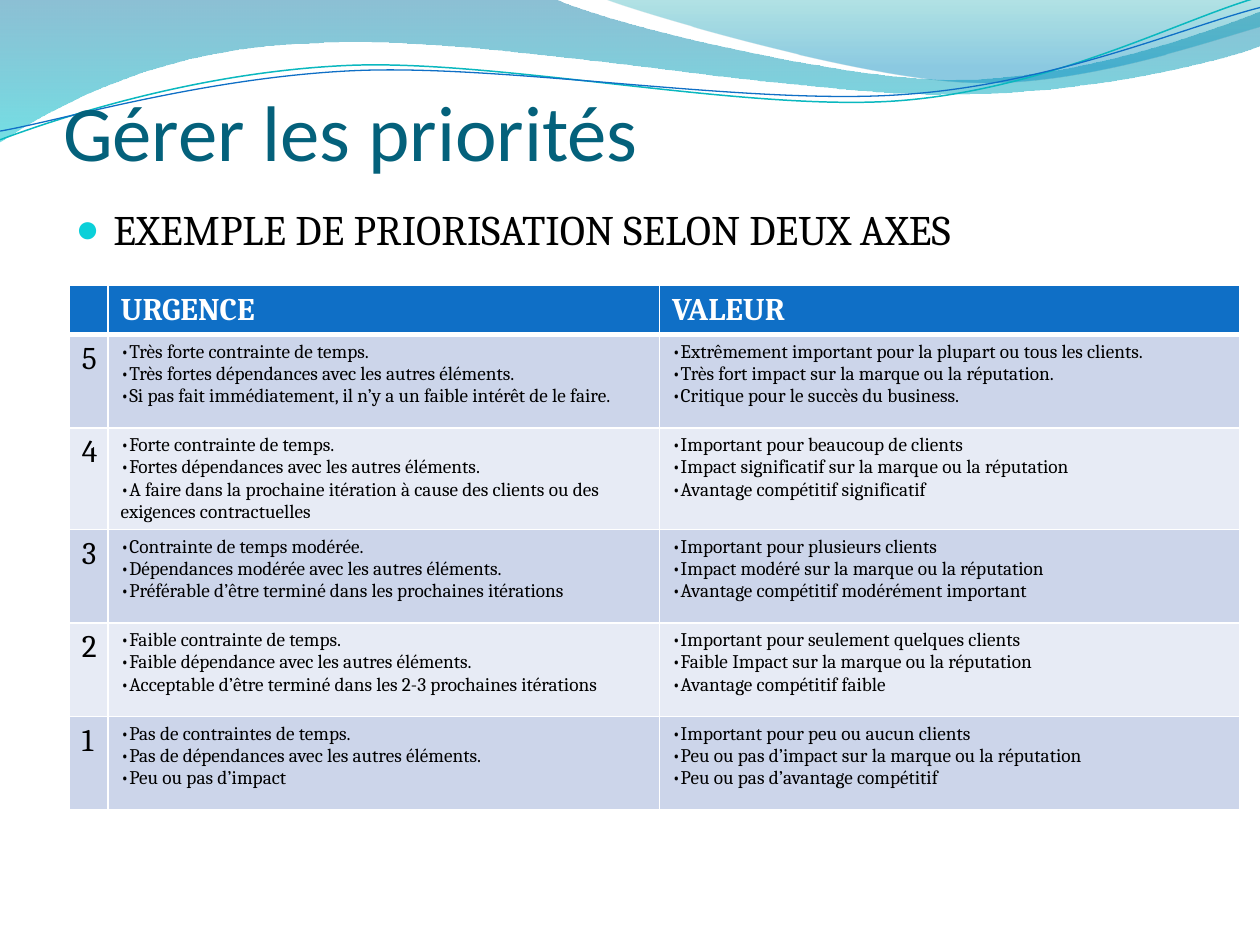
"""Build the slide on managing priorities along urgency and value."""
import pptx
import pptx.dml.color
import pptx.enum.text
import pptx.oxml
import pptx.oxml.ns
import pptx.util

Pt = pptx.util.Pt
qn = pptx.oxml.ns.qn
TITLE_FONT, TEXT_FONT = "Calibri", "Cambria"
COLORS = {
    "title": "04617B", "text": "000000", "white": "FFFFFF", "bullet": "0BD0D9",
    "header": "0F6FC6", "odd": "CCD5EA", "even": "E7EBF5",
    "band_top": "0074A1", "band_end": "00C6CF",
    "panel_top": "00A1A9", "panel_end": "008BBF",
    "teal_line": "0AB8BF", "blue_line": "0F6FC6",
}
BAND = [(0, 0), (316.8, -0.7), (342.7, 12.2, 478.1, 45.4, 545.8, 45.4),
        (614.2, 45.4, 689.8, 18.7, 720, 6.5), (720.7, 25.9),
        (707.8, 31.7, 626.4, 54.7, 537.1, 54), (447.8, 54, 275, 20.2, 185, 24.5),
        (92.9, 25.9, 33.1, 59.8, -0.7, 81.4)]
PANEL = [(344.9, -0.7), (366.5, 7.9, 491, 44.6, 553.7, 46.8),
         (616.3, 49.7, 691.9, 23, 720, 15.1), (720, 0)]
TEAL_WAVE = [(0, 79.9), (34.6, 67, 113.8, 41, 199.4, 37.4),
             (284.4, 33.8, 427, 64.1, 513.4, 57.6), (599.8, 51.1, 675.4, 10.8, 718.6, -1.4)]
BLUE_WAVE = [(0, 74.9), (33.8, 69.1, 118.1, 43.9, 203.8, 40.3),
             (290.2, 36.7, 429.8, 60.5, 516.2, 54), (601.9, 48.2, 677.5, 15.1, 720, 4.3)]
HEADINGS = ["", "URGENCE", "VALEUR"]
LEVELS = [
    ("5",
     ["Très forte contrainte de temps.",
      "Très fortes dépendances avec les autres éléments.",
      "Si pas fait immédiatement, il n’y a un faible intérêt de le faire."],
     ["Extrêmement important pour la plupart ou tous les clients.",
      "Très fort impact sur la marque ou la réputation.",
      "Critique pour le succès du business."]),
    ("4",
     ["Forte contrainte de temps.",
      "Fortes dépendances avec les autres éléments.",
      "A faire dans la prochaine itération à cause des clients ou des exigences contractuelles"],
     ["Important pour beaucoup de clients",
      "Impact significatif sur la marque ou la réputation",
      "Avantage compétitif significatif"]),
    ("3",
     ["Contrainte de temps modérée.",
      "Dépendances modérée avec les autres éléments.",
      "Préférable d’être terminé dans les prochaines itérations"],
     ["Important pour plusieurs clients",
      "Impact modéré sur la marque ou la réputation",
      "Avantage compétitif modérément important"]),
    ("2",
     ["Faible contrainte de temps.",
      "Faible dépendance avec les autres éléments.",
      "Acceptable d’être terminé dans les 2-3 prochaines itérations"],
     ["Important pour seulement quelques clients",
      "Faible Impact sur la marque ou la réputation",
      "Avantage compétitif faible"]),
    ("1",
     ["Pas de contraintes de temps.",
      "Pas de dépendances avec les autres éléments.",
      "Peu ou pas d’impact"],
     ["Important pour peu ou aucun clients",
      "Peu ou pas d’impact sur la marque ou la réputation",
      "Peu ou pas d’avantage compétitif"]),
]


def color(name):
    return pptx.dml.color.RGBColor.from_string(COLORS[name])


def xml(text):
    return pptx.oxml.parse_xml(text.replace(" ", f" {pptx.oxml.ns.nsdecls('a')} ", 1))


def style(paragraph, font, size, color_name, bold=False):
    paragraph.font.name = font
    paragraph.font.size = Pt(size)
    paragraph.font.bold = bold
    paragraph.font.color.rgb = color(color_name)


def place(box, left, top, width, height):
    box.left, box.top, box.width, box.height = map(Pt, (left, top, width, height))


def add_outline(page, segments, close):
    corners = [tuple(map(Pt, segment[-2:])) for segment in segments]
    builder = page.shapes.build_freeform(*corners[0])
    builder.add_line_segments(corners[1:], close=close)
    shape = builder.convert_to_shape()
    shape.shadow.inherit = False
    edges = list(shape.element.spPr.iter(qn("a:lnTo")))
    for edge, segment in zip(edges, segments[1:]):
        if len(segment) == 6:
            edge.tag = qn("a:cubicBezTo")
            for index in (0, 1):
                x, y = map(Pt, segment[2 * index:2 * index + 2])
                edge.insert(index, xml(f'<a:pt x="{x - shape.left}" y="{y - shape.top}"/>'))
    return shape


def add_gradient_wave(page, segments, stops):
    shape = add_outline(page, segments, True)
    shape.line.fill.background()
    shape.fill.gradient()
    shape.fill.gradient_angle = 270
    for stop, (position, color_name, _) in zip(shape.fill.gradient_stops, stops):
        stop.position = position
        stop.color.rgb = color(color_name)
    tints = shape.element.spPr.iter(qn("a:srgbClr"))
    for tint, (_, _, opacity) in zip(tints, stops):
        tint.append(xml(f'<a:alpha val="{opacity * 1000}"/>'))


def add_line_wave(page, segments, color_name, width):
    shape = add_outline(page, segments, False)
    shape.fill.background()
    shape.line.color.rgb = color(color_name)
    shape.line.width = Pt(width)


def fill_title(box, text):
    place(box, 36, 55.4, 648, 46.1)
    frame = box.text_frame
    frame.text = text
    frame.auto_size = pptx.enum.text.MSO_AUTO_SIZE.NONE
    frame.vertical_anchor = pptx.enum.text.MSO_ANCHOR.BOTTOM
    frame.margin_left = frame.margin_right = frame.margin_bottom = 0
    frame.margin_top = Pt(3.6)
    frame.paragraphs[0].alignment = pptx.enum.text.PP_ALIGN.LEFT
    style(frame.paragraphs[0], TITLE_FONT, 45, "title")


def add_bullet(paragraph, character, font, indent=0):
    properties = paragraph._p.get_or_add_pPr()
    properties.set("marL", str(Pt(indent)))
    properties.set("indent", str(-Pt(indent)))
    properties.append(xml(f'<a:buFont typeface="{font}"/>'))
    properties.append(xml(f'<a:buChar char="{character}"/>'))


def fill_body(box, text):
    place(box, 36, 112.6, 648, 385.2)
    box.text_frame.text = text
    box.text_frame.auto_size = pptx.enum.text.MSO_AUTO_SIZE.NONE
    paragraph = box.text_frame.paragraphs[0]
    properties = paragraph._p.get_or_add_pPr()
    properties.append(xml(f'<a:buClr ><a:srgbClr val="{COLORS["bullet"]}"/></a:buClr>'))
    properties.append(xml('<a:buSzPct val="95000"/>'))
    add_bullet(paragraph, "●", "Arial", 21.6)
    paragraph.space_before = Pt(0)
    style(paragraph, TEXT_FONT, 24, "text")


def paint_cell(cell, fill_name, top=1, bottom=1):
    properties = cell._tc.get_or_add_tcPr()
    for side, width in (("L", 1), ("R", 1), ("T", top), ("B", bottom)):
        properties.append(xml(
            f'<a:ln{side} w="{Pt(width)}"><a:solidFill><a:srgbClr val="{COLORS["white"]}"/>'
            f'</a:solidFill></a:ln{side}>'))
    cell.fill.solid()
    cell.fill.fore_color.rgb = color(fill_name)


def add_priority_table(page):
    widths = (22.2, 315.1, 331.7)
    frame = page.shapes.add_table(
        len(LEVELS) + 1, len(widths), Pt(39.6), Pt(163.1), Pt(sum(widths)), Pt(302.4))
    table = frame.table
    for column, width in zip(table.columns, widths):
        column.width = Pt(width)
    for index, row in enumerate(table.rows):
        row.height = Pt(53.4 if index else 22.3)
    for cell, heading in zip(table.rows[0].cells, HEADINGS):
        paint_cell(cell, "header", bottom=3)
        cell.text = heading
        style(cell.text_frame.paragraphs[0], TEXT_FONT, 18, "white", True)
    for index, (level, *criteria) in enumerate(LEVELS, 1):
        cells = list(table.rows[index].cells)
        for cell in cells:
            paint_cell(cell, "odd" if index % 2 else "even", top=3 if index == 1 else 1)
        cells[0].text = level
        style(cells[0].text_frame.paragraphs[0], TEXT_FONT, 18, "text")
        for cell, lines in zip(cells[1:], criteria):
            cell.text = "\n".join(lines)
            for paragraph in cell.text_frame.paragraphs:
                add_bullet(paragraph, "•", TEXT_FONT)
                style(paragraph, TEXT_FONT, 11, "text")


def main():
    deck = pptx.Presentation()
    deck.slide_width, deck.slide_height = Pt(720), Pt(540)
    page = deck.slides.add_slide(deck.slide_layouts[1])
    title, body = page.placeholders
    add_gradient_wave(page, BAND, [(0, "band_top", 45), (1, "band_end", 55)])
    add_gradient_wave(page, PANEL, [(0, "panel_top", 30), (0.8, "panel_end", 45)])
    add_line_wave(page, TEAL_WAVE, "teal_line", 0.85)
    add_line_wave(page, BLUE_WAVE, "blue_line", 0.75)
    for box in (title, body):
        page.shapes.element.append(box.element)
    fill_title(title, "Gérer les priorités")
    fill_body(body, "EXEMPLE DE PRIORISATION SELON DEUX AXES")
    add_priority_table(page)
    deck.save("out.pptx")


if __name__ == "__main__":
    main()
